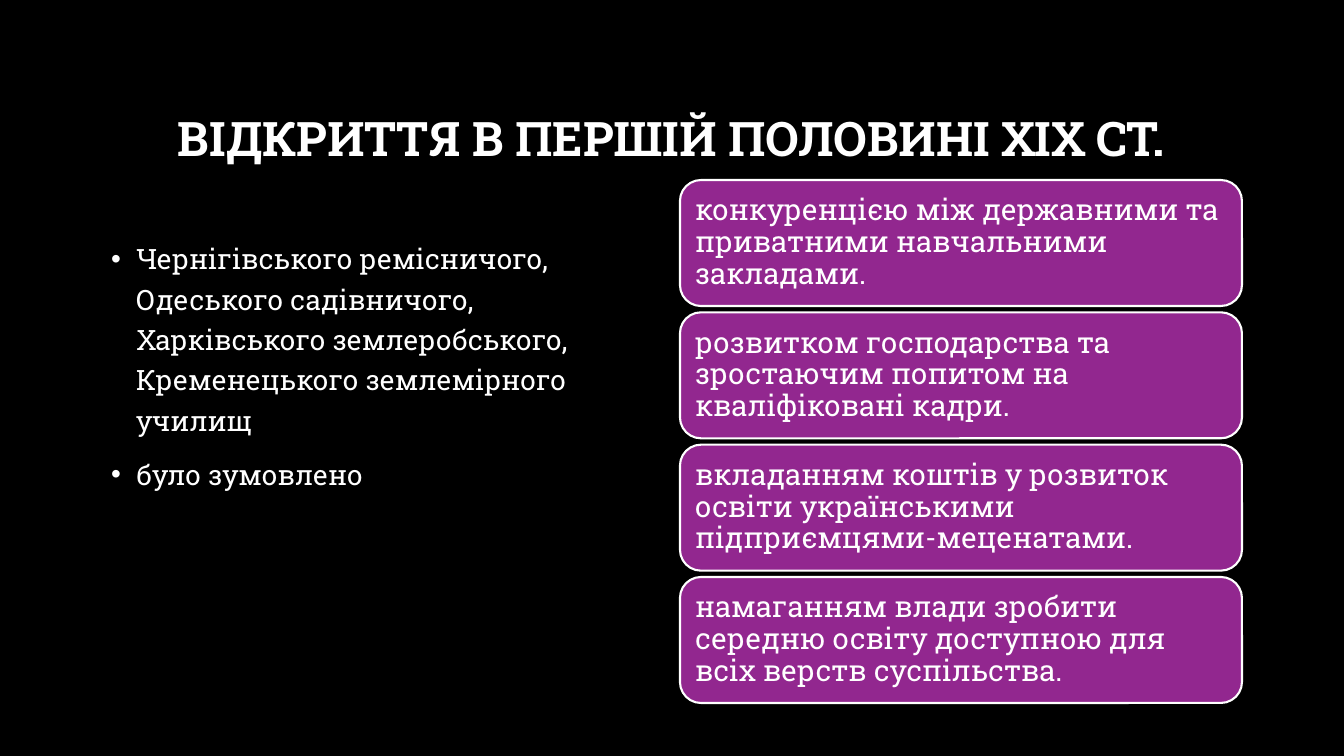
from lxml import etree
from pptx import Presentation, util as u
from pptx.dml.color import RGBColor
from pptx.enum import shapes, text
from pptx.oxml.ns import qn

TITLE = "ВІДКРИТТЯ В ПЕРШІЙ ПОЛОВИНІ ХІХ СТ."
BULLETS = [
    "Чернігівського ремісничого, Одеського садівничого, Харківського "
    "землеробського, Кременецького землемірного училищ",
    "було зумовлено",
]
REASONS = [
    "конкуренцією між державними та приватними навчальними закладами.",
    "розвитком господарства та зростаючим попитом на кваліфіковані кадри.",
    "вкладанням коштів у розвиток освіти українськими підприємцями-меценатами.",
    "намаганням влади зробити середню освіту доступною для всіх верств суспільства.",
]
COLORS = {"background": "000000", "text": "FFFFFF", "card": "92278F"}
FONT = "Roboto Slab"

# Lengths in px
SLIDE_W, SLIDE_H = 1344, 756
TITLE_BOX = (101, 68, 1141, 146)
BODY_BOX = (101, 230, 562, 408)
CARD_X, CARD_W, CARD_H = 680, 562, 126
CARDS_TOP, CARDS_BOTTOM = 180, 703
CARD_INSET, BULLET_INDENT = 9, 25


def px(n):
    return u.Emu(round(n * 914400 / 100.8))


def color(name):
    return RGBColor.from_string(COLORS[name])


def place(sp, box):
    sp.left, sp.top, sp.width, sp.height = map(px, box)


def write(p, words, size, spacing, bold=False):
    p.line_spacing = spacing
    r = p.add_run()
    r.text = words
    r.font.name, r.font.size, r.font.bold = FONT, u.Pt(size), bold
    r.font.color.rgb = color("text")


def add_bullet(p):
    pPr = p._p.get_or_add_pPr()
    pPr.set("marL", str(px(BULLET_INDENT)))
    pPr.set("indent", str(-px(BULLET_INDENT)))
    bullet_color = etree.SubElement(pPr, qn("a:buClr"))
    etree.SubElement(bullet_color, qn("a:srgbClr"), val=COLORS["text"])
    etree.SubElement(pPr, qn("a:buFont"), typeface="Arial")
    etree.SubElement(pPr, qn("a:buChar"), char="•")


def add_card(s, y, words):
    sp = s.shapes.add_shape(shapes.MSO_SHAPE.ROUNDED_RECTANGLE,
                            px(CARD_X), px(y), px(CARD_W), px(CARD_H))
    sp.shadow.inherit = False
    sp.fill.solid()
    sp.fill.fore_color.rgb = color("card")
    sp.line.color.rgb = color("text")
    sp.line.width = u.Pt(1.5)
    tf = sp.text_frame
    tf.word_wrap = True
    tf.vertical_anchor = text.MSO_ANCHOR.MIDDLE
    tf.margin_left = tf.margin_right = px(CARD_INSET)
    tf.margin_top = tf.margin_bottom = px(CARD_INSET)
    p = tf.paragraphs[0]
    p.alignment = text.PP_ALIGN.LEFT
    write(p, words, 21, 0.9)


def main():
    prs = Presentation()
    prs.slide_width, prs.slide_height = px(SLIDE_W), px(SLIDE_H)
    s = prs.slides.add_slide(prs.slide_layouts[1])
    s.background.fill.solid()
    s.background.fill.fore_color.rgb = color("background")

    title, body = s.placeholders
    place(title, TITLE_BOX)
    tf = title.text_frame
    tf.auto_size = text.MSO_AUTO_SIZE.NONE
    tf.vertical_anchor = text.MSO_ANCHOR.MIDDLE
    tf.paragraphs[0].alignment = text.PP_ALIGN.CENTER
    write(tf.paragraphs[0], TITLE, 34, 0.9, bold=True)

    place(body, BODY_BOX)
    tf = body.text_frame
    tf.auto_size = text.MSO_AUTO_SIZE.NONE
    for i, words in enumerate(BULLETS):
        p = tf.add_paragraph() if i else tf.paragraphs[0]
        add_bullet(p)
        p.space_before = u.Pt(10 if i else 0)
        write(p, words, 20, 1.2)

    pitch = (CARDS_BOTTOM - CARDS_TOP - CARD_H) / (len(REASONS) - 1)
    for i, words in enumerate(REASONS):
        add_card(s, CARDS_TOP + i * pitch, words)

    prs.save("out.pptx")


if __name__ == "__main__":
    main()
